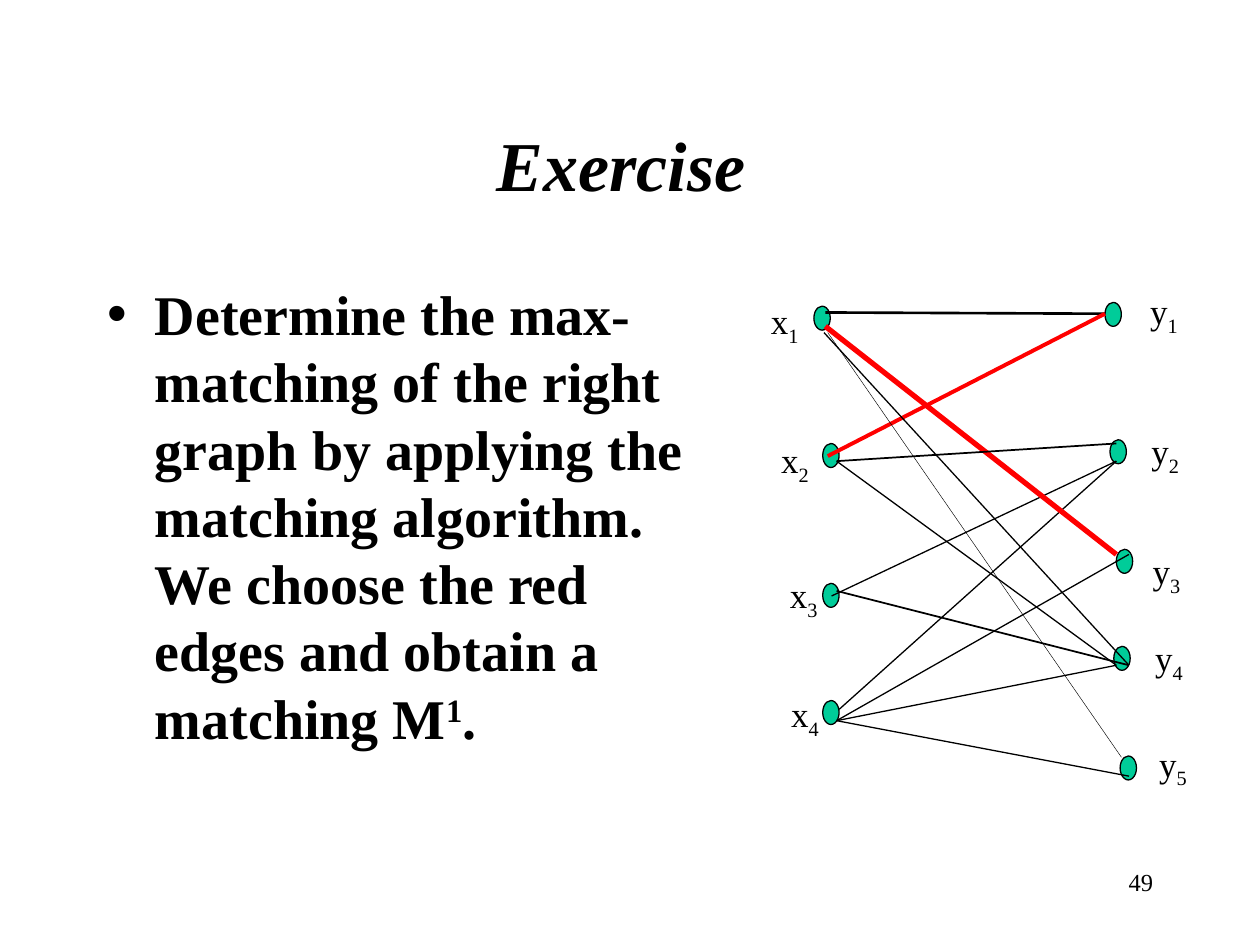
import pptx
import pptx.util
import pptx.dml.color
import pptx.enum.shapes
import pptx.enum.text
import lxml.etree
import pptx.oxml.ns

FONT = "Times New Roman"
COLOURS = {"ink": "000000", "node": "00CC99", "matched": "FF0000"}
WIDTH, HEIGHT = pptx.util.Inches(10), pptx.util.Inches(7.5)
UNIT = WIDTH // 1000  # grid: 1000 columns by 750 rows
NODE_SIZE = (13, 19)
LABEL_SIZE = (65, 48)

# Vertex: node corner and label corner, in grid units from the graph's box
VERTICES = {
    "x1": ((44, 18), (0, 8)),
    "x2": ((51, 127), (8, 118)),
    "x3": ((51, 238), (15, 225)),
    "x4": ((51, 331), (16, 320)),
    "y1": ((275, 15), (301, 0)),
    "y2": ((279, 124), (302, 111)),
    "y3": ((284, 211), (303, 206)),
    "y4": ((282, 288), (305, 275)),
    "y5": ((287, 375), (308, 359)),
}

# Edge: each vertex with its offset from the node corner, colour, line width
EDGES = [
    ("x1", (9, 5), "y1", (0, 9), "ink", 1.5),
    ("x2", (4, 10), "y1", (0, 9), "matched", 2.25),
    ("x3", (7, 10), "y2", (5, 17), "ink", 0.75),
    ("x4", (13, 7), "y2", (5, 17), "ink", 0.75),
    ("x1", (9, 16), "y3", (0, 4), "matched", 3),
    ("x1", (8, 21), "y4", (12, 15), "ink", 0.75),
    ("x1", (11, 21), "y5", (1, 1), "ink", 0.25),
    ("x2", (11, 14), "y2", (5, 3), "ink", 1),
    ("x2", (11, 14), "y4", (2, 15), "ink", 0.75),
    ("x4", (11, 16), "y3", (10, 4), "ink", 0.75),
    ("x4", (11, 16), "y4", (2, 15), "ink", 0.75),
    ("x4", (11, 16), "y5", (7, 16), "ink", 0.75),
    ("x3", (11, 6), "y4", (12, 15), "ink", 1),
]


def colour(name):
    return pptx.dml.color.RGBColor.from_string(COLOURS[name])


def grid(*lengths):
    return [round(length * UNIT) for length in lengths]


def shifted(origin, offset):
    return origin[0] + offset[0], origin[1] + offset[1]


def style(para, size, bold=False, italic=False):
    para.space_before = pptx.util.Pt(0)
    font = para.font
    font.name, font.size = FONT, pptx.util.Pt(size)
    font.bold, font.italic = bold, italic
    font.color.rgb = colour("ink")


def add_raised(para, text, baseline):
    """Add a run set above or below the line, by thousandths of a percent."""
    span = para.add_run()
    span.text = text
    span._r.get_or_add_rPr().set("baseline", str(baseline))


def place(shape, box):
    shape.left, shape.top, shape.width, shape.height = grid(*box)
    shape.text_frame.auto_size = pptx.enum.text.MSO_AUTO_SIZE.NONE


def fill_title(title, box):
    place(title, box)
    title.text_frame.vertical_anchor = pptx.enum.text.MSO_ANCHOR.MIDDLE
    para = title.text_frame.paragraphs[0]
    para.text = "Exercise "
    para.alignment = pptx.enum.text.PP_ALIGN.CENTER
    style(para, 40, bold=True, italic=True)


def fill_body(body, box):
    place(body, box)
    para = body.text_frame.paragraphs[0]
    para.add_run().text = (
        "Determine the max-matching of the right graph by applying the "
        "matching algorithm. We choose the red edges and obtain a matching M"
    )
    add_raised(para, "1", 30000)
    para.add_run().text = "."
    properties = para._p.get_or_add_pPr()
    indent = pptx.util.Inches(0.38)
    properties.set("marL", str(indent))
    properties.set("indent", str(-indent))
    bullet = lxml.etree.SubElement(properties, pptx.oxml.ns.qn("a:buChar"))
    bullet.set("char", "•")
    style(para, 32, bold=True)


def add_node(group, corner):
    node = group.shapes.add_shape(
        pptx.enum.shapes.MSO_SHAPE.OVAL, *grid(*corner, *NODE_SIZE)
    )
    node.shadow.inherit = False
    node.fill.solid()
    node.fill.fore_color.rgb = colour("node")
    node.line.color.rgb = colour("ink")
    node.line.width = pptx.util.Pt(0.75)


def add_edge(group, start, end, colour_name, width):
    edge = group.shapes.add_connector(
        pptx.enum.shapes.MSO_CONNECTOR.STRAIGHT, *grid(*start, *end)
    )
    edge.line.color.rgb = colour(colour_name)
    edge.line.width = pptx.util.Pt(width)
    lxml.etree.SubElement(edge._element.spPr, pptx.oxml.ns.qn("a:effectLst"))


def add_label(group, corner, name):
    label = group.shapes.add_textbox(*grid(*corner, *LABEL_SIZE))
    label.text_frame.word_wrap = True
    para = label.text_frame.paragraphs[0]
    para.add_run().text = name[0]
    add_raised(para, name[1], -25000)
    style(para, 20)


def add_graph(page, origin):
    group = page.shapes.add_group_shape()
    for node, _ in VERTICES.values():
        add_node(group, shifted(origin, node))
    for first, leave, second, arrive, colour_name, width in EDGES:
        start = shifted(shifted(origin, VERTICES[first][0]), leave)
        end = shifted(shifted(origin, VERTICES[second][0]), arrive)
        add_edge(group, start, end, colour_name, width)
    for name, (_, corner) in VERTICES.items():
        add_label(group, shifted(origin, corner), name)


def add_page_number(page, box):
    number = page.shapes.add_textbox(*grid(*box))
    number.text_frame.word_wrap = True
    para = number.text_frame.paragraphs[0]
    para.text = "49"
    para.alignment = pptx.enum.text.PP_ALIGN.RIGHT
    style(para, 14)


def main():
    deck = pptx.Presentation()
    deck.slide_width, deck.slide_height = WIDTH, HEIGHT
    page = deck.slides.add_slide(deck.slide_layouts[1])
    add_page_number(page, (717, 683, 208, 50))
    fill_title(page.shapes.title, (75, 67, 850, 125))
    fill_body(page.placeholders[1], (75, 217, 512, 450))
    add_graph(page, (602, 225))
    deck.save("out.pptx")


if __name__ == "__main__":
    main()
